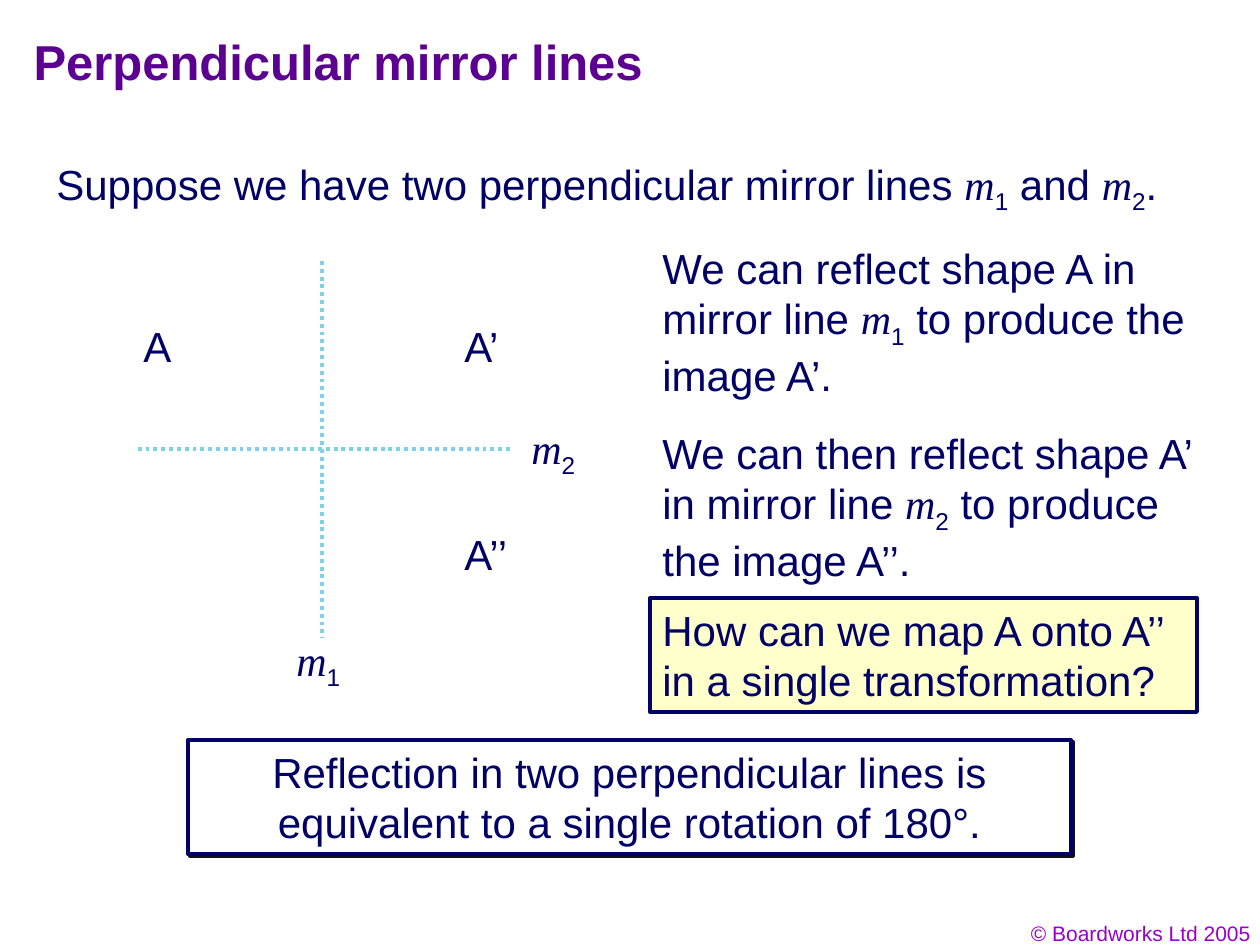
from lxml import etree
from pptx import Presentation
from pptx import util as u
from pptx.dml.color import RGBColor
from pptx.enum import dml, shapes, text
from pptx.oxml.ns import qn

PX = 914400 / 126
COLOURS = {
    "title": "5B0091", "body": "010066", "credit": "9900CC", "mirror": "80D0E8",
    "border": "000066", "question": "FFFFCC", "answer": "FFFFFF", "shadow": "111111",
}


def px(*lengths):
    return [u.Emu(round(length * PX)) for length in lengths]


def write(frame, words, colour="body", size=24, align="LEFT", bold=False):
    """Write words into frame; each |n| becomes an italic m with subscript n."""
    paragraph = frame.paragraphs[0]
    paragraph.alignment = text.PP_ALIGN[align]
    for index, piece in enumerate(words.split("|")):
        if index % 2:
            parts = [("m", "Times New Roman", True), (piece, "Arial", False)]
        else:
            parts = [(piece, "Arial", False)]
        for part, face, italic in parts:
            if not part:
                continue
            run = paragraph.add_run()
            run.text = part
            style = {"name": face, "size": u.Pt(size), "bold": bold, "italic": italic}
            for key, value in style.items():
                setattr(run.font, key, value)
            run.font.color.rgb = RGBColor.from_string(COLOURS[colour])
        if index % 2:
            run.font._element.set("baseline", "-25000")


deck = Presentation()
deck.slide_width, deck.slide_height = px(1260, 945)
slide = deck.slides.add_slide(deck.slide_layouts[5])

title = slide.shapes.title
title.left, title.top, title.width, title.height = px(21, 19, 1071, 84)
title.text_frame.vertical_anchor = text.MSO_ANCHOR.MIDDLE
write(title.text_frame, "Perpendicular mirror lines", "title", 28, bold=True)

# Mirror lines cross at (322, 449)
for ends in [(322, 261, 322, 638), (510, 449, 134, 449)]:
    mirror = slide.shapes.add_connector(shapes.MSO_CONNECTOR.STRAIGHT, *px(*ends))
    mirror.line.color.rgb = RGBColor.from_string(COLOURS["mirror"])
    mirror.line.width = u.Pt(2.25)
    mirror.line.dash_style = dml.MSO_LINE.ROUND_DOT
    etree.SubElement(mirror._element.spPr, qn("a:effectLst"))

labels = [
    ("|2|", 519, 416, 69, 70),
    ("|1|", 284, 628, 69, 70),
    ("A", 131, 314, 53, 63),
    ("A’", 452, 314, 62, 63),
    ("A’’", 452, 522, 72, 63),
]
for words, *place in labels:
    label = slide.shapes.add_textbox(*px(*place))
    label.text_frame.word_wrap = False
    write(label.text_frame, words)

passages = [
    ("Suppose we have two perpendicular mirror lines |1| and |2|.", 44, 152, 1183, 70),
    ("We can reflect shape A in mirror line |1| to produce the image A’.",
     650, 236, 576, 171),
    ("We can then reflect shape A’ in mirror line |2| to produce the image A’’.",
     650, 421, 576, 171),
]
for words, *place in passages:
    passage = slide.shapes.add_textbox(*px(*place))
    passage.text_frame.word_wrap = True
    write(passage.text_frame, words)

panels = [
    ("How can we map A onto A’’ in a single transformation?",
     "question", "LEFT", 650, 598, 547, 114),
    ("Reflection in two perpendicular lines is equivalent to a single rotation of 180°.",
     "answer", "CENTER", 188, 740, 883, 114),
]
for words, fill, align, *place in panels:
    panel = slide.shapes.add_shape(shapes.MSO_SHAPE.RECTANGLE, *px(*place))
    panel.shadow.inherit = False
    panel.fill.solid()
    panel.fill.fore_color.rgb = RGBColor.from_string(COLOURS[fill])
    panel.line.color.rgb = RGBColor.from_string(COLOURS["border"])
    panel.line.width = u.Pt(2.25)
    panel.text_frame.word_wrap = True
    panel.text_frame.vertical_anchor = text.MSO_ANCHOR.TOP
    write(panel.text_frame, words, align=align)

# Only the answer, the last panel, casts a shadow
effects = panel._element.spPr.find(qn("a:effectLst"))
shadow = etree.SubElement(effects, qn("a:outerShdw"), dist="18000", dir="2700000",
                          algn="ctr", rotWithShape="0")
etree.SubElement(shadow, qn("a:srgbClr"), val=COLOURS["shadow"])

credit = slide.shapes.add_textbox(*px(969, 914, 294, 38))
credit.text_frame.word_wrap = True
write(credit.text_frame, "© Boardworks Ltd 2005", "credit", 12, "RIGHT")

deck.save("out.pptx")
